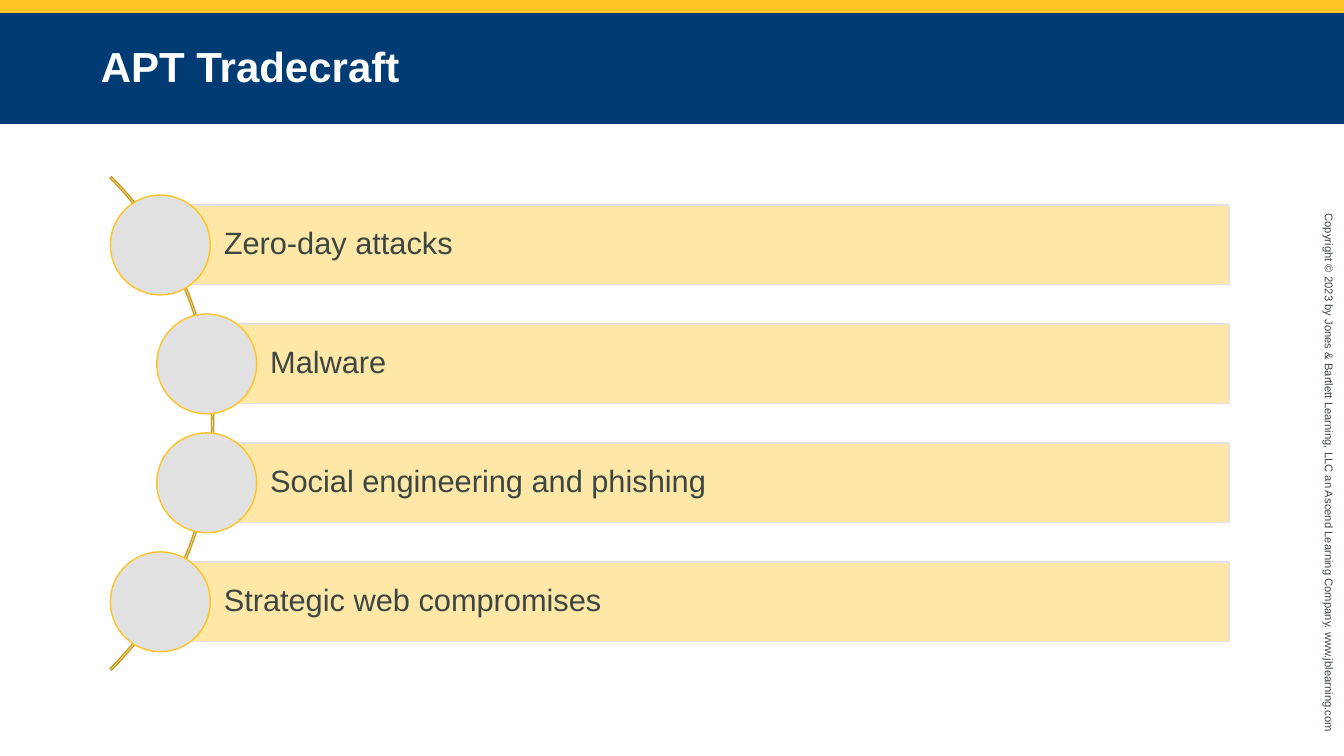
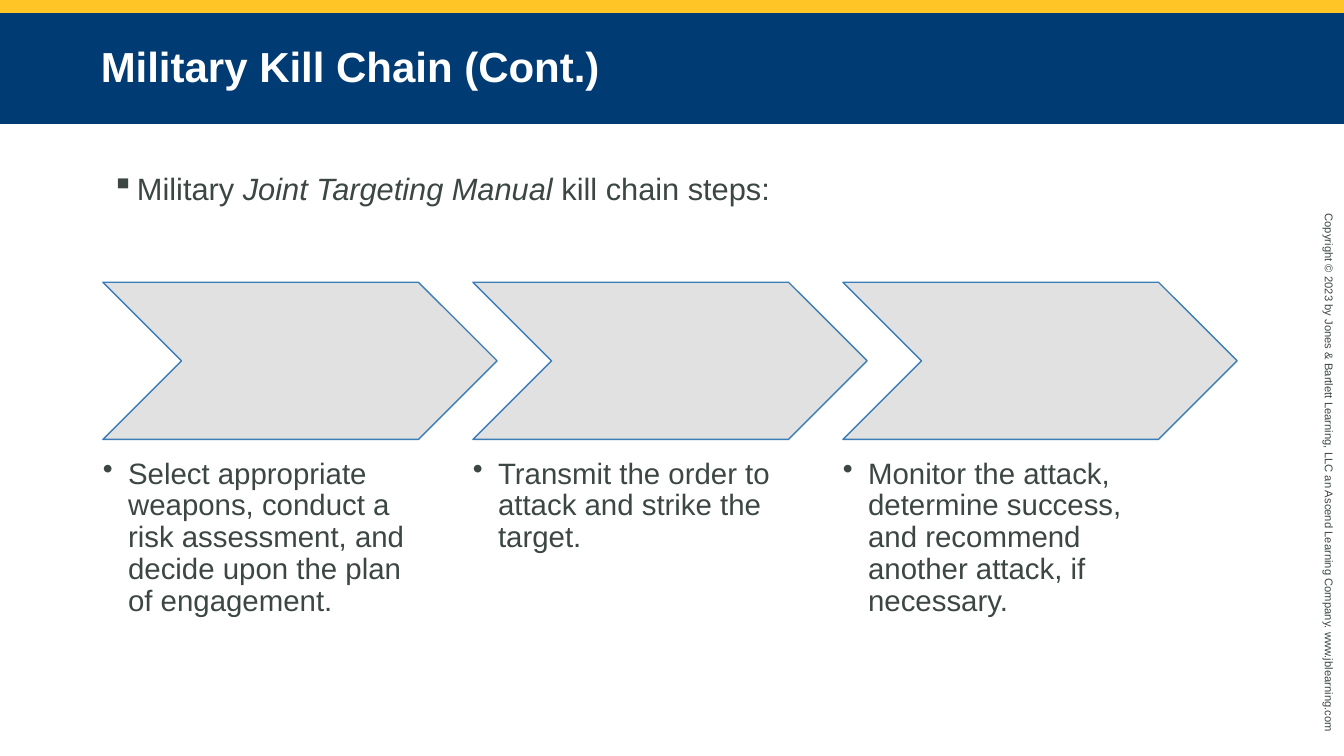
import pptx
import pptx.dml.color
import pptx.enum.shapes
import pptx.enum.text
import pptx.oxml
import pptx.util

Inches = pptx.util.Inches
Pt = pptx.util.Pt
color = pptx.dml.color.RGBColor.from_string
SHAPE = pptx.enum.shapes.MSO_SHAPE
ANCHOR = pptx.enum.text.MSO_ANCHOR

FONT = "Arial"
GOLD, NAVY, WHITE, INK = "FFC425", "003B74", "FFFFFF", "3C4743"
GRAY, CREAM, CIRCLE_EDGE, ARC_EDGE, CHEVRON_EDGE = "E1E1E1", "FFE7A7", "FFC324", "CC9C1D", "3B7DB6"
WIDTH, HEIGHT = 13.33, 7.5
COPYRIGHT = ("Copyright © 2023 by Jones & Bartlett Learning, LLC an Ascend Learning Company. "
             "www.jblearning.com")


def draw(slide, kind, box, fill=None, line=None):
    """Add a shape at box (left, top, width, height in inches); None means no fill or no line."""
    shape = slide.shapes.add_shape(kind, *map(Inches, box))
    shape.shadow.inherit = False
    if fill:
        shape.fill.solid()
        shape.fill.fore_color.rgb = color(fill)
    else:
        shape.fill.background()
    if line:
        shape.line.color.rgb = color(line)
        shape.line.width = Pt(1)
    else:
        shape.line.fill.background()
    return shape


def write(shape, pieces, size, ink=INK, bold=False, insets=(0.1, 0.05, 0.1, 0.05),
          anchor=ANCHOR.TOP, spacing=None, bullet=None):
    """Fill a shape with one left-aligned paragraph; every second piece is italic."""
    frame = shape.text_frame
    frame.word_wrap = True
    frame.vertical_anchor = anchor
    frame.margin_left, frame.margin_top, frame.margin_right, frame.margin_bottom = map(Inches, insets)
    paragraph = frame.paragraphs[0]
    if bullet:
        properties = paragraph._p.get_or_add_pPr()
        properties.set("marL", str(Inches(0.25)))
        properties.set("indent", str(-Inches(0.25)))
        mark = pptx.oxml.parse_xml(
            '<a:buChar xmlns:a="http://schemas.openxmlformats.org/drawingml/2006/main"/>')
        mark.set("char", bullet)
        properties.append(mark)
    paragraph.alignment = pptx.enum.text.PP_ALIGN.LEFT
    if spacing:
        paragraph.line_spacing = spacing
    for position, piece in enumerate(pieces):
        run = paragraph.add_run()
        run.text = piece
        run.font.name = FONT
        run.font.size = Pt(size)
        run.font.bold = bold
        run.font.italic = position % 2 == 1
        run.font.color.rgb = color(ink)


deck = pptx.Presentation()
deck.slide_width, deck.slide_height = Inches(WIDTH), Inches(HEIGHT)

# Frame shared by both slides
slides = []
for title in ("APT Tradecraft", "Military Kill Chain (Cont.)"):
    slide = deck.slides.add_slide(deck.slide_layouts[6])
    draw(slide, SHAPE.RECTANGLE, (0, 0, WIDTH, 0.13), GOLD)
    copyright_line = slide.shapes.add_textbox(*map(Inches, (10.44, 4.64, 5.48, 0.24)))
    copyright_line.rotation = 90
    write(copyright_line, [COPYRIGHT], 8)
    title_band = draw(slide, SHAPE.RECTANGLE, (0, 0.13, WIDTH, 1.1), NAVY)
    write(title_band, [title], 30, WHITE, bold=True, insets=(1, 0.05, 1, 0.05),
          anchor=ANCHOR.MIDDLE, spacing=0.95)
    slides.append(slide)
tradecraft, kill_chain = slides

# Tradecraft: bars hung on an arc
arc_middle, arc_size = 4.2, 6.92
row_pitch, bar_height, bar_right, circle_size = 1.18, 0.79, 12.19, 0.99
arc = draw(tradecraft, SHAPE.BLOCK_ARC,
           (-4.8, arc_middle - arc_size / 2, arc_size, arc_size), line=ARC_EDGE)
for index, value in enumerate((189, 27, 0.003)):
    arc.adjustments[index] = value

methods = [("Zero-day attacks", 1.59), ("Malware", 2.05),
           ("Social engineering and phishing", 2.05), ("Strategic web compromises", 1.59)]
for row, (method, bar_left) in enumerate(methods):
    middle = arc_middle + (row - (len(methods) - 1) / 2) * row_pitch
    bar = draw(tradecraft, SHAPE.RECTANGLE,
               (bar_left, middle - bar_height / 2, bar_right - bar_left, bar_height), CREAM, GRAY)
    write(bar, [method], 22, insets=(0.63, 0.06, 0.06, 0.06), anchor=ANCHOR.MIDDLE, spacing=0.9)
    draw(tradecraft, SHAPE.OVAL,
         (bar_left - circle_size / 2, middle - circle_size / 2, circle_size, circle_size),
         GRAY, CIRCLE_EDGE)

# Kill chain: three chevrons with a step below each
intro = kill_chain.shapes.add_textbox(*map(Inches, (1.01, 1.63, 11.25, 0.66)))
write(intro, ["Military ", "Joint Targeting Manual ", "kill chain steps:"], 22, bullet="▪")

steps = ["Select appropriate weapons, conduct a risk assessment, and decide upon the plan of engagement.",
         "Transmit the order to attack and strike the target.",
         "Monitor the attack, determine success, and recommend another attack, if necessary."]
first_left, column_pitch, chevron_width = 1.02, 3.67, 3.91
for column, step in enumerate(steps):
    left = first_left + column * column_pitch
    draw(kill_chain, SHAPE.CHEVRON, (left, 2.8, chevron_width, 1.56), GRAY, CHEVRON_EDGE)
    caption = kill_chain.shapes.add_textbox(*map(Inches, (left, 4.55, chevron_width * 0.8, 1.52)))
    write(caption, [step], 21, insets=(0, 0, 0, 0), spacing=0.9, bullet="•")

deck.save("out.pptx")
